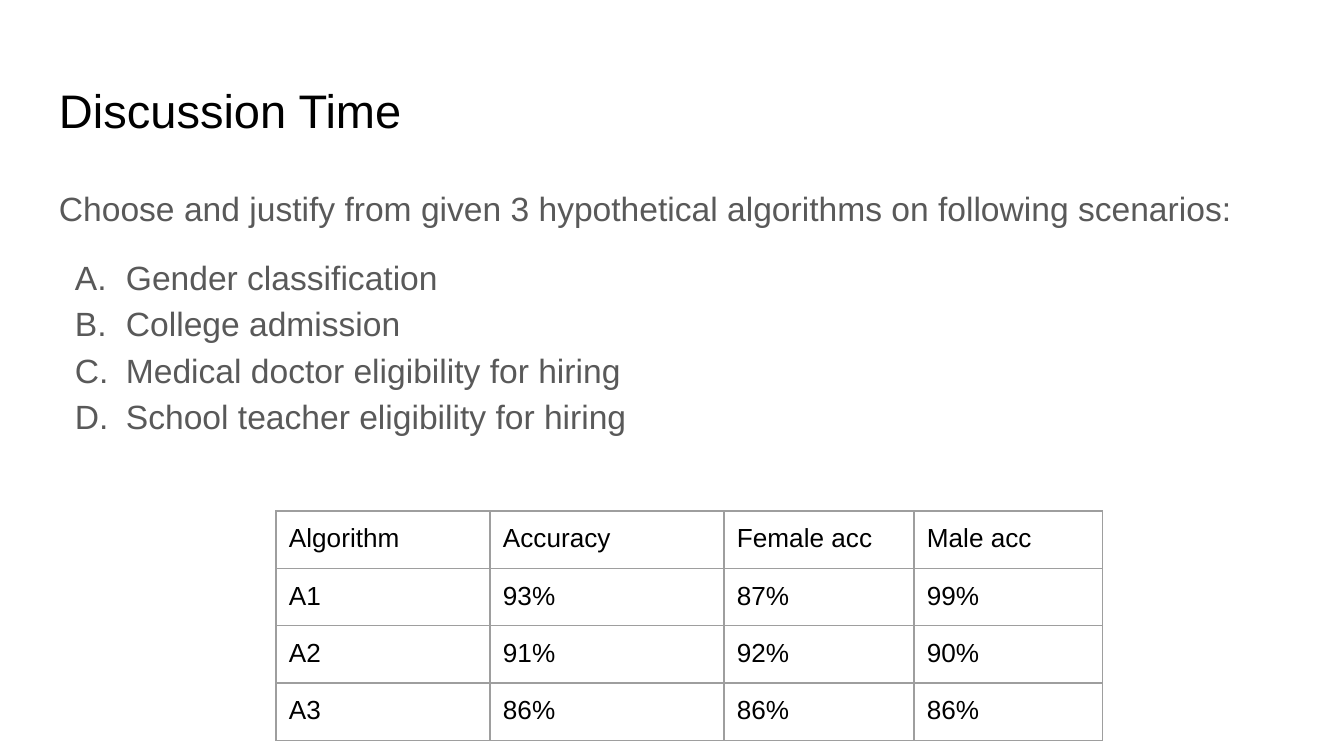
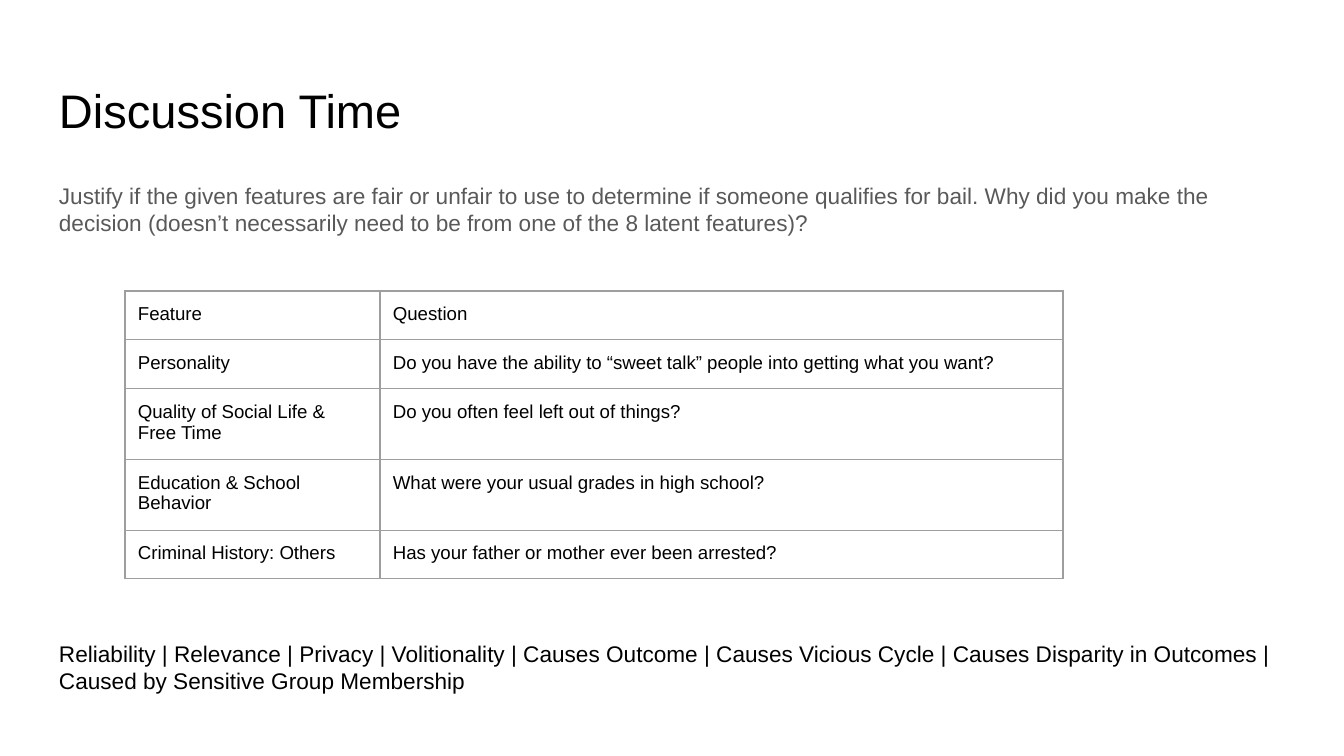
import pptx
import pptx.util
import pptx.dml.color
import pptx.enum.text
import pptx.oxml.ns
import lxml.etree

EMU_PER_PIXEL = 914400 / 134.4
FONT_NAME = "Arial"
BLACK = pptx.dml.color.RGBColor(0x00, 0x00, 0x00)
GRAY = pptx.dml.color.RGBColor(0x59, 0x59, 0x59)
BORDER = pptx.dml.color.RGBColor(0x9E, 0x9E, 0x9E)
INSET = 13
LEFT, CONTENT_WIDTH = 46, 1253
BODY_TOP = 169
TITLE_ONLY = 5

SCENARIOS = [
    "Gender classification",
    "College admission",
    "Medical doctor eligibility for hiring",
    "School teacher eligibility for hiring",
]
ALGORITHM_SCORES = [
    ["Algorithm", "Accuracy", "Female acc", "Male acc"],
    ["A1", "93%", "87%", "99%"],
    ["A2", "91%", "92%", "90%"],
    ["A3", "86%", "86%", "86%"],
]
BAIL_QUESTIONS = [
    ["Feature", "Question"],
    ["Personality", "Do you have the ability to “sweet talk” people into getting what you want?"],
    ["Quality of Social Life & Free Time", "Do you often feel left out of things?"],
    ["Education & School Behavior", "What were your usual grades in high school?"],
    ["Criminal History: Others", "Has your father or mother ever been arrested?"],
]
BAIL_PROMPT = (
    "Justify if the given features are fair or unfair to use to determine if someone "
    "qualifies for bail. Why did you make the decision (doesn’t necessarily need to be "
    "from one of the 8 latent features)?"
)
LATENT_FEATURES = [
    "Reliability", "Relevance", "Privacy", "Volitionality", "Causes Outcome",
    "Causes Vicious Cycle", "Causes Disparity in Outcomes",
    "Caused by Sensitive Group Membership",
]


def px(pixels):
    return pptx.util.Emu(round(pixels * EMU_PER_PIXEL))


def style_font(paragraph, size, color):
    paragraph.font.name = FONT_NAME
    paragraph.font.size = pptx.util.Pt(size)
    paragraph.font.color.rgb = color


def set_insets(target):
    target.margin_left = target.margin_right = px(INSET)
    target.margin_top = target.margin_bottom = px(INSET)


def add_element(parent, tag, **attributes):
    return lxml.etree.SubElement(parent, pptx.oxml.ns.qn(tag), **attributes)


def add_titled_slide(deck, heading):
    slide = deck.slides.add_slide(deck.slide_layouts[TITLE_ONLY])
    title = slide.shapes.title
    title.left, title.top, title.width, title.height = px(LEFT), px(66), px(CONTENT_WIDTH), px(85)
    frame = title.text_frame
    frame.text = heading
    frame.word_wrap = True
    frame.auto_size = pptx.enum.text.MSO_AUTO_SIZE.NONE
    frame.vertical_anchor = pptx.enum.text.MSO_ANCHOR.BOTTOM
    set_insets(frame)
    paragraph = frame.paragraphs[0]
    paragraph.alignment = pptx.enum.text.PP_ALIGN.LEFT
    style_font(paragraph, 25.2, BLACK)
    return slide


def add_text(slide, top, height, text, size, color, line_spacing=1.0):
    frame = slide.shapes.add_textbox(px(LEFT), px(top), px(CONTENT_WIDTH), px(height)).text_frame
    frame.word_wrap = True
    set_insets(frame)
    paragraph = frame.paragraphs[0]
    paragraph.text = text
    paragraph.line_spacing = line_spacing
    style_font(paragraph, size, color)
    return frame


def add_lettered_list(frame, items, size, color, line_spacing):
    for index, item in enumerate(items):
        paragraph = frame.add_paragraph()
        paragraph.text = item
        paragraph.line_spacing = line_spacing
        paragraph.space_before = pptx.util.Pt(0 if index else 12)
        properties = paragraph._p.get_or_add_pPr()
        properties.set("marL", str(px(67)))
        properties.set("indent", str(px(-51)))
        bullet_color = add_element(properties, "a:buClr")
        add_element(bullet_color, "a:srgbClr", val=str(color))
        add_element(properties, "a:buFont", typeface=FONT_NAME)
        add_element(properties, "a:buAutoNum", type="alphaUcPeriod")
        style_font(paragraph, size, color)


def add_borders(cell):
    properties = cell._tc.get_or_add_tcPr()
    for side in ("a:lnL", "a:lnR", "a:lnT", "a:lnB"):
        line = add_element(properties, side, w=str(pptx.util.Pt(0.75)))
        fill = add_element(line, "a:solidFill")
        add_element(fill, "a:srgbClr", val=str(BORDER))


def add_grid(slide, left, top, column_widths, row_heights, rows, size):
    table = slide.shapes.add_table(
        len(rows), len(column_widths), px(left), px(top),
        px(sum(column_widths)), px(sum(row_heights)),
    ).table
    table.first_row = False
    table.horz_banding = False
    for column, width in zip(table.columns, column_widths):
        column.width = px(width)
    for row, height, texts in zip(table.rows, row_heights, rows):
        row.height = px(height)
        for cell, text in zip(row.cells, texts):
            cell.text = text
            set_insets(cell)
            add_borders(cell)
            cell.fill.background()
            style_font(cell.text_frame.paragraphs[0], size, BLACK)


def add_algorithm_slide(deck):
    slide = add_titled_slide(deck, "Discussion Time")
    prompt = "Choose and justify from given 3 hypothetical algorithms on following scenarios:"
    body = add_text(slide, BODY_TOP, 503, prompt, 18, GRAY, 1.15)
    add_lettered_list(body, SCENARIOS, 18, GRAY, 1.15)
    add_grid(slide, 276, 511, [214, 234, 190, 189], [56] * 4, ALGORITHM_SCORES, 14)


def add_bail_slide(deck):
    slide = add_titled_slide(deck, "Discussion Time")
    add_text(slide, BODY_TOP, 80, BAIL_PROMPT, 12.1, GRAY)
    add_grid(slide, 125, 291, [255, 683], [47, 49, 69, 68, 48], BAIL_QUESTIONS, 10)
    add_text(slide, 627, 80, " | ".join(LATENT_FEATURES), 12.1, BLACK)


def main():
    deck = pptx.Presentation()
    deck.slide_width, deck.slide_height = px(1344), px(756)
    add_algorithm_slide(deck)
    add_bail_slide(deck)
    deck.save("out.pptx")


main()
